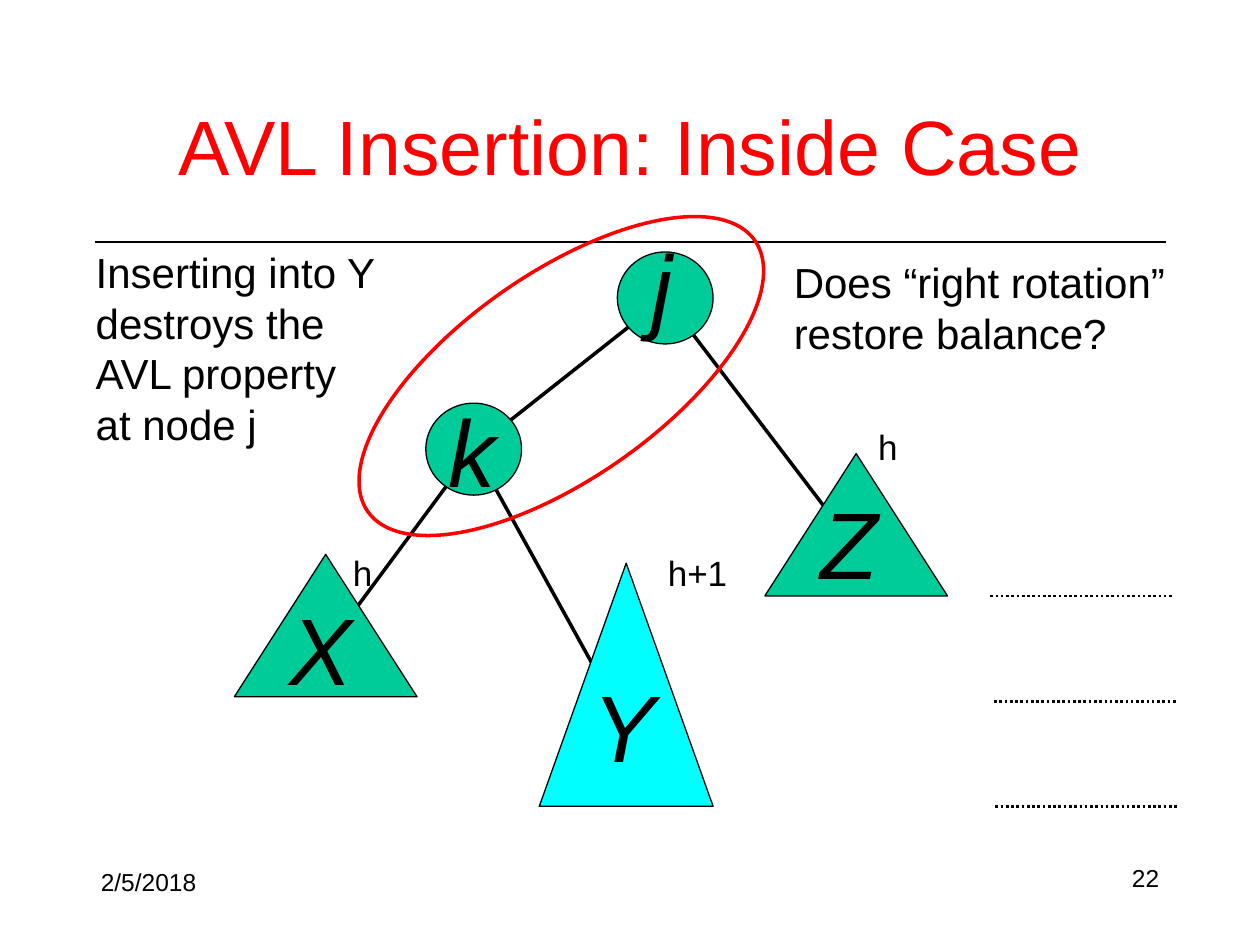
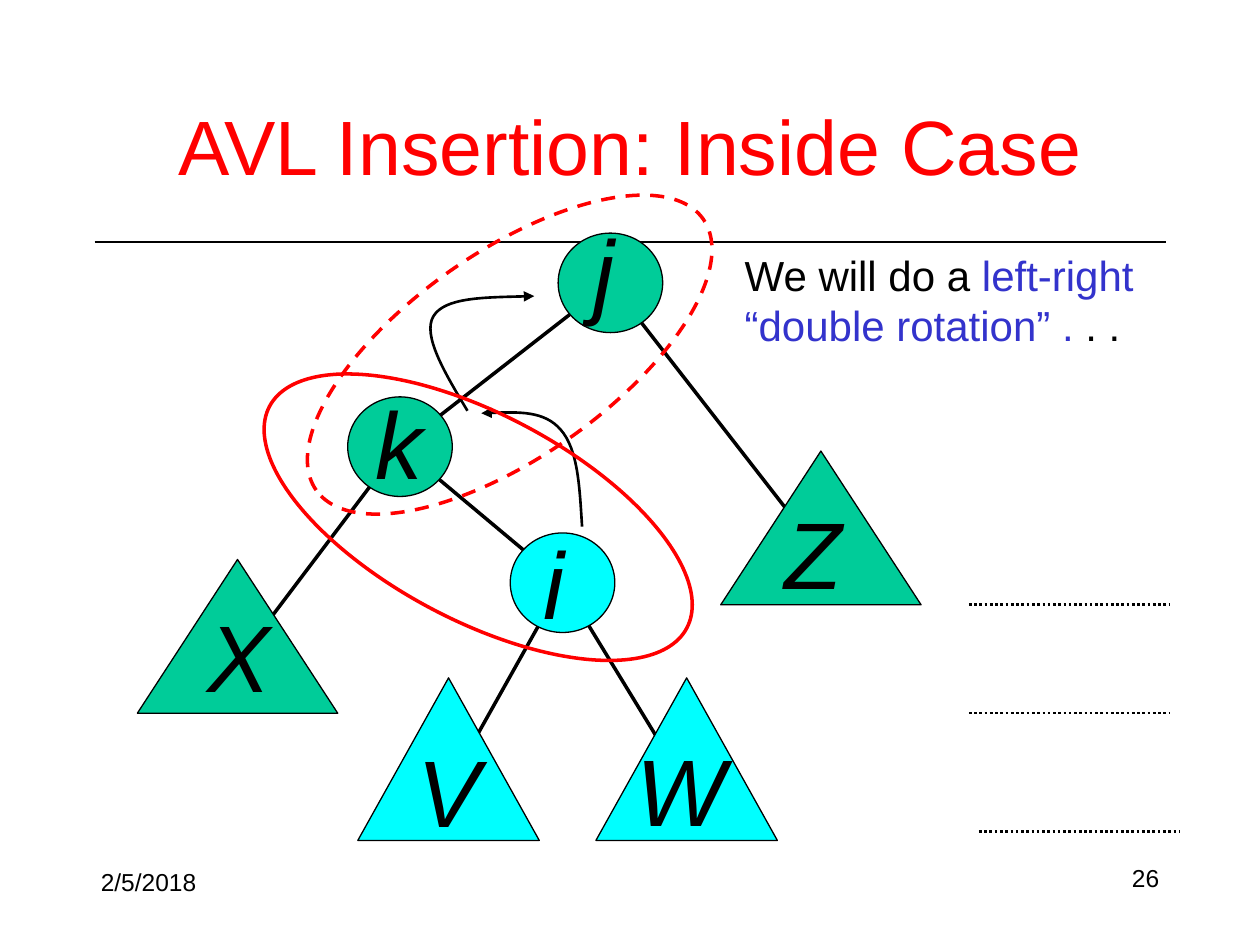
from dataclasses import dataclass

from lxml.etree import SubElement
from pptx import Presentation
from pptx.dml.color import RGBColor
from pptx.enum.dml import MSO_LINE
from pptx.enum.shapes import MSO_CONNECTOR, MSO_SHAPE
from pptx.enum.text import MSO_ANCHOR, MSO_AUTO_SIZE, PP_ALIGN
from pptx.oxml.ns import qn
from pptx.util import Inches, Pt


@dataclass(frozen=True)
class Theme:
    font: str = "Arial"
    ink: str = "000000"
    title: str = "FF0000"
    highlight: str = "FF0000"
    accent: str = "3333CC"
    settled: str = "00CC99"
    changed: str = "00FFFF"
    title_size: float = 44
    letter_size: float = 54
    caption_size: float = 24
    height_size: float = 20
    footer_size: float = 14
    outline: float = 0.75
    guide: float = 1.5
    edge: float = 2


THEME = Theme()


@dataclass(frozen=True)
class Node:
    left: float
    top: float
    size: tuple
    fill: str
    letter_offset: tuple
    is_subtree: bool = False

    def anchor(self, origin):
        width, height = self.size
        depth = 2 / 3 if self.is_subtree else 1 / 2
        return origin[0] + self.left + width / 2, origin[1] + self.top + height * depth


def inches(values):
    return [Inches(value) for value in values]


def style_line(line, color, width, dash=None):
    line.color.rgb = RGBColor.from_string(color)
    line.width = Pt(width)
    if dash:
        line.dash_style = dash


def add_line(slide, start, end, width, dash=None):
    connector = slide.shapes.add_connector(MSO_CONNECTOR.STRAIGHT, *inches(start + end))
    style_line(connector.line, THEME.ink, width, dash)
    SubElement(connector._element.spPr, qn("a:effectLst"))


def add_outline(slide, kind, box, fill=None, color=THEME.ink, width=THEME.outline, dash=None):
    shape = slide.shapes.add_shape(kind, *inches(box))
    shape.shadow.inherit = False
    if fill:
        shape.fill.solid()
        shape.fill.fore_color.rgb = RGBColor.from_string(fill)
    else:
        shape.fill.background()
    style_line(shape.line, color, width, dash)
    return shape


def add_text(slide, box, lines, size, color=THEME.ink, align=PP_ALIGN.LEFT,
             anchor=MSO_ANCHOR.TOP, wrap=True, italic=False, spacing=None):
    frame = slide.shapes.add_textbox(*inches(box)).text_frame
    frame.word_wrap = wrap
    frame.auto_size = MSO_AUTO_SIZE.SHAPE_TO_FIT_TEXT
    frame.vertical_anchor = anchor
    frame.margin_left = frame.margin_right = Inches(0.05)
    frame.margin_top = frame.margin_bottom = Inches(0.05)
    for index, line in enumerate(lines):
        paragraph = frame.add_paragraph() if index else frame.paragraphs[0]
        paragraph.alignment = align
        paragraph.line_spacing = spacing
        phrases = [(line, color)] if isinstance(line, str) else line
        for wording, phrase_color in phrases:
            run = paragraph.add_run()
            run.text = wording
            run.font.name = THEME.font
            run.font.size = Pt(size)
            run.font.italic = italic
            run.font.color.rgb = RGBColor.from_string(phrase_color)


def add_frame(slide, number):
    add_line(slide, (0.75, 1.92), (9.25, 1.92), THEME.outline)
    add_text(slide, (0.73, 0.76, 8.55, 0.77), ["AVL Insertion: Inside Case"], THEME.title_size,
             THEME.title, PP_ALIGN.CENTER, MSO_ANCHOR.MIDDLE)
    add_text(slide, (0.75, 6.83, 2.08, 0.34), ["2/5/2018"], THEME.footer_size)
    add_text(slide, (7.17, 6.83, 2.08, 0.32), [str(number)], THEME.footer_size,
             align=PP_ALIGN.RIGHT, spacing=0.9)


def add_tree(slide, origin, nodes, edges):
    for parent, child in edges:
        add_line(slide, nodes[parent].anchor(origin), nodes[child].anchor(origin), THEME.edge)
    for letter, node in nodes.items():
        left, top = origin[0] + node.left, origin[1] + node.top
        kind = MSO_SHAPE.ISOSCELES_TRIANGLE if node.is_subtree else MSO_SHAPE.OVAL
        add_outline(slide, kind, (left, top, *node.size), node.fill)
        dx, dy = node.letter_offset
        add_text(slide, (left + dx, top + dy, 0.51, 0.94), [letter], THEME.letter_size,
                 italic=True)


def add_depth_guides(slide, starts, length):
    for left, top in starts:
        add_line(slide, (left, top), (left + length, top), THEME.guide, MSO_LINE.ROUND_DOT)


def add_rotation_ring(slide, left, top, angle, dash=None):
    ring = add_outline(slide, MSO_SHAPE.OVAL, (left, top, 3.75, 1.63),
                       color=THEME.highlight, width=THEME.edge, dash=dash)
    ring.rotation = angle


def add_rotation_arrow(slide, start, controls):
    builder = slide.shapes.build_freeform(*inches(start))
    builder.add_line_segments([inches(point) for point in controls], close=False)
    arrow = builder.convert_to_shape()
    arrow.shadow.inherit = False
    arrow.fill.background()
    style_line(arrow.line, THEME.ink, THEME.guide)
    SubElement(arrow.line._get_or_add_ln(), qn("a:tailEnd"), type="triangle")
    segments = list(arrow._element.iter(qn("a:lnTo")))
    for first in range(0, len(segments), 3):
        curve = SubElement(segments[first].getparent(), qn("a:cubicBezTo"))
        for segment in segments[first:first + 3]:
            curve.append(segment[0])
            segment.getparent().remove(segment)


def build_imbalance(slide):
    add_frame(slide, 22)
    circle, subtree = (0.76, 0.73), (1.45, 1.13)
    nodes = {
        "j": Node(3.04, 0, circle, THEME.settled, (0.22, -0.24)),
        "k": Node(1.52, 1.2, circle, THEME.settled, (0.13, -0.13)),
        "X": Node(0, 2.4, subtree, THEME.settled, (0.39, 0.24), True),
        "Y": Node(2.42, 2.47, (1.38, 1.93), THEME.changed, (0.37, 0.78), True),
        "Z": Node(4.21, 1.6, subtree, THEME.settled, (0.39, 0.2), True),
    }
    add_tree(slide, (1.86, 2), nodes, ["jk", "kX", "kY", "jZ"])
    add_depth_guides(slide, [(7.86, 4.73), (7.89, 5.57), (7.9, 6.4)], 1.45)
    add_rotation_ring(slide, 2.58, 2.17, 325)
    add_text(slide, (0.71, 1.91, 2.51, 1.64),
             ["Inserting into Y", "destroys the", "AVL property", "at node j"],
             THEME.caption_size, wrap=False)
    add_text(slide, (6.25, 1.99, 3.15, 0.87), ["Does “right rotation”", "restore balance?"],
             THEME.caption_size, wrap=False)
    for left, top, width, height in [(6.92, 3.33, 0.27, "h"), (5.25, 4.33, 0.59, "h+1"),
                                     (2.75, 4.33, 0.27, "h")]:
        add_text(slide, (left, top, width, 0.41), [height], THEME.height_size, wrap=False)


def build_double_rotation(slide):
    add_frame(slide, 26)
    circle, subtree, split = (0.83, 0.79), (1.59, 1.22), (1.44, 1.29)
    nodes = {
        "j": Node(3.34, 0, circle, THEME.settled, (0.23, -0.21)),
        "k": Node(1.67, 1.3, circle, THEME.settled, (0.17, -0.14)),
        "X": Node(0, 2.59, subtree, THEME.settled, (0.51, 0.26), True),
        "V": Node(1.75, 3.53, split, THEME.changed, (0.42, 0.39), True),
        "Z": Node(4.63, 1.73, subtree, THEME.settled, (0.46, 0.3), True),
        "W": Node(3.64, 3.53, split, THEME.changed, (0.27, 0.38), True),
        "i": Node(2.96, 2.38, circle, THEME.changed, (0.21, -0.11)),
    }
    add_tree(slide, (1.09, 1.85), nodes, ["jk", "kX", "ki", "jZ", "iV", "iW"])
    add_depth_guides(slide, [(7.69, 4.8), (7.69, 5.66), (7.77, 6.6)], 1.59)
    add_text(slide, (5.86, 1.93, 3.38, 0.87),
             [[("We will do a ", THEME.ink), ("left-right", THEME.accent)],
              [("“double rotation” .", THEME.accent), (" . .", THEME.ink)]],
             THEME.caption_size, wrap=False)
    add_rotation_arrow(slide, (4.62, 4.18), [(4.6, 3.87), (4.59, 3.57), (4.45, 3.41),
                                             (4.32, 3.26), (4.07, 3.27), (3.82, 3.28)])
    add_rotation_arrow(slide, (3.71, 3.26), [(3.53, 2.96), (3.35, 2.66), (3.44, 2.51),
                                             (3.53, 2.36), (3.89, 2.36), (4.24, 2.35)])
    add_rotation_ring(slide, 1.92, 3.29, 28)
    add_rotation_ring(slide, 2.17, 2, 325, MSO_LINE.DASH)


def main():
    deck = Presentation()
    deck.slide_width, deck.slide_height = Inches(10), Inches(7.5)
    for build in (build_imbalance, build_double_rotation):
        build(deck.slides.add_slide(deck.slide_layouts[6]))
    deck.save("out.pptx")


if __name__ == "__main__":
    main()
